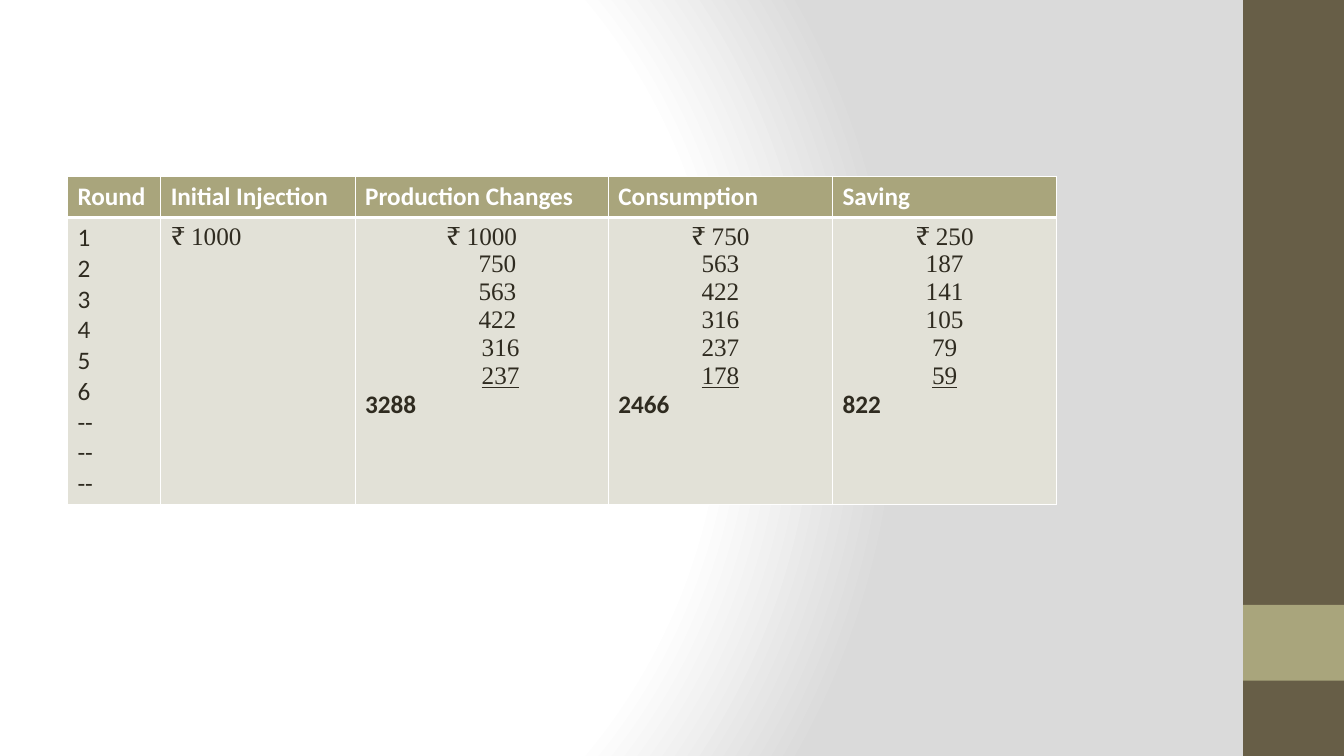
"""Build the slide that tabulates the multiplier process round by round."""
from lxml import etree
from pptx import Presentation
from pptx import util as u
from pptx.dml.color import RGBColor
from pptx.enum import shapes, text
from pptx.oxml import parse_xml
from pptx.oxml.ns import nsdecls, qn

WHITE = RGBColor(0xFF, 0xFF, 0xFF)
GREY = RGBColor(0xDA, 0xDA, 0xDA)
BROWN = RGBColor(0x67, 0x5E, 0x47)
OLIVE = RGBColor(0xA9, 0xA5, 0x7C)
PALE = RGBColor(0xE2, 0xE1, 0xD7)
INK = RGBColor(0x2F, 0x2B, 0x20)

HEAD = {"name": "Calibri", "bold": True, "color": WHITE}
LABEL = {"name": "Calibri", "bold": False, "color": INK}
TOTAL = {**LABEL, "bold": True}
FIGURE = {**LABEL, "name": "Times New Roman"}
LAST = {**FIGURE, "underline": True}

WIDTHS = [2.35, 4.9, 6.38, 5.65, 5.65]
HEIGHTS = [1.02, 7.2]
HEADERS = ["Round", "Initial Injection", "Production Changes", "Consumption", "Saving"]
ROUNDS = ["1", "2", "3", "4", "5", "6", "--", "--", "--"]
SERIES = [
    (["₹ 1000", "750", "563", "422", "316", "237"], "3288", [0, 0.79, 0.79, 0.79, 0.95, 0.95]),
    (["₹ 750", "563", "422", "316", "237", "178"], "2466", [0] * 6),
    (["₹ 250", "187", "141", "105", "79", "59"], "822", [0] * 6),
]


class Deck:
    """Hold the style and the current slide."""

    def __init__(self, width, height, size):
        self.prs = Presentation()
        self.prs.slide_width, self.prs.slide_height = u.Cm(width), u.Cm(height)
        self.size = u.Pt(size)
        self.s = self.prs.slides.add_slide(self.prs.slide_layouts[6])

    def background(self, stops, focus):
        """Fill the background with a circular gradient."""
        self.s.background.fill.gradient()
        old = self.s.element.find(".//" + qn("a:gradFill"))
        marks = "".join(
            f'<a:gs pos="{pos * 1000}"><a:srgbClr val="{color}"/></a:gs>' for pos, color in stops)
        sides = " ".join(f'{side}="{value * 1000}"' for side, value in zip("ltrb", focus))
        new = parse_xml(
            f'<a:gradFill {nsdecls("a")} rotWithShape="1"><a:gsLst>{marks}</a:gsLst>'
            f'<a:path path="circle"><a:fillToRect {sides}/></a:path></a:gradFill>')
        old.getparent().replace(old, new)

    def band(self, left, top, width, height, color):
        """Add a plain filled rectangle."""
        box = [u.Cm(v) for v in (left, top, width, height)]
        sp = self.s.shapes.add_shape(shapes.MSO_SHAPE.RECTANGLE, *box)
        sp.shadow.inherit = False
        sp.fill.solid()
        sp.fill.fore_color.rgb = color
        sp.line.fill.background()

    def table(self, left, top, widths, heights, rows):
        """Add a table from rows of cells, each a list of paragraphs."""
        box = [u.Cm(v) for v in (left, top, sum(widths), sum(heights))]
        tbl = self.s.shapes.add_table(len(heights), len(widths), *box).table
        tbl.horz_banding = tbl.first_row = False
        for col, width in zip(tbl.columns, widths):
            col.width = u.Cm(width)
        for row, height in zip(tbl.rows, heights):
            row.height = u.Cm(height)
        for i, row in enumerate(rows):
            for j, paragraphs in enumerate(row):
                cell = tbl.cell(i, j)
                self.borders(cell, {"L": 1, "R": 1, "T": 3 if i else 1, "B": 1 if i else 3})
                cell.fill.solid()
                cell.fill.fore_color.rgb = PALE if i else OLIVE
                self.paragraphs(cell.text_frame, paragraphs)

    def borders(self, cell, weights):
        """Draw white borders of the given point weights."""
        tc_pr = cell._tc.get_or_add_tcPr()
        for side, weight in weights.items():
            ln = etree.SubElement(tc_pr, qn(f"a:ln{side}"), w=str(u.Pt(weight)))
            fill = etree.SubElement(ln, qn("a:solidFill"))
            etree.SubElement(fill, qn("a:srgbClr"), val=str(WHITE))

    def paragraphs(self, tf, items):
        """Fill in (text, format, indent) paragraphs; an indent also centres."""
        for i, (words, style, indent) in enumerate(items):
            p = tf.add_paragraph() if i else tf.paragraphs[0]
            if indent is not None:
                p.alignment = text.PP_ALIGN.CENTER
                p._p.get_or_add_pPr().set("marL", str(u.Cm(indent)))
            r = p.add_run()
            r.text = words
            r.font.size = self.size
            for key, value in style.items():
                if key == "color":
                    r.font.color.rgb = value
                else:
                    setattr(r.font, key, value)


def series_cell(values, total, indents):
    """Return the paragraphs of one column of figures and its total."""
    styles = [FIGURE] * (len(values) - 1) + [LAST]
    return [*zip(values, styles, indents), (total, TOTAL, None)]


def main():
    """Build and save the slide."""
    deck = Deck(33.87, 19.05, 18)
    deck.background([(0, WHITE), (75, WHITE), (100, GREY)], (20, 50, 100, 50))
    deck.band(31.33, 0, 2.54, 19.05, BROWN)
    deck.band(31.33, 15.24, 2.54, 1.91, OLIVE)
    header = [[(name, HEAD, None)] for name in HEADERS]
    body = [[(name, LABEL, None) for name in ROUNDS], [("₹ 1000", FIGURE, None)]]
    body += [series_cell(*column) for column in SERIES]
    deck.table(1.7, 4.45, WIDTHS, HEIGHTS, [header, body])
    deck.prs.save("out.pptx")


if __name__ == "__main__":
    main()
